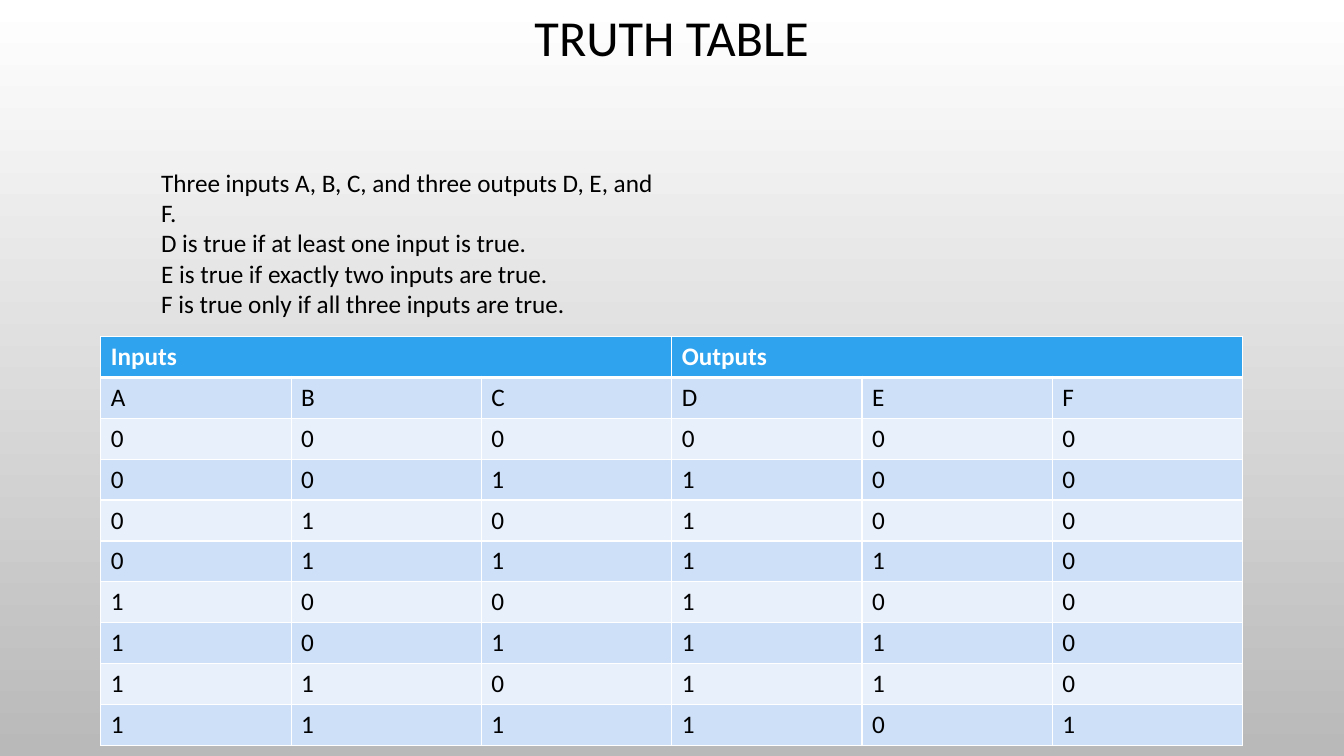
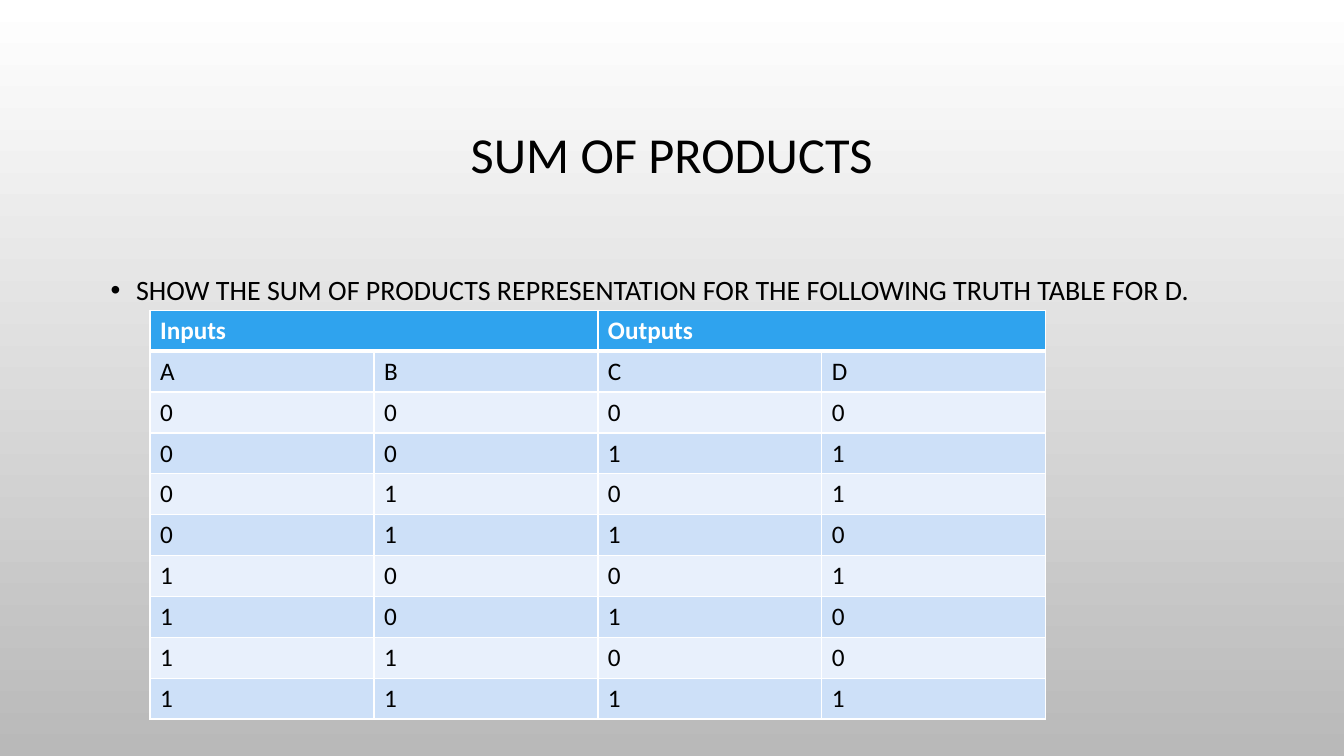
from itertools import product

from lxml import etree
from pptx import Presentation
from pptx.dml.color import RGBColor
from pptx.enum.text import MSO_ANCHOR, PP_ALIGN
from pptx.oxml.ns import qn
from pptx.util import Cm, Pt

CENTER = PP_ALIGN.CENTER
LEFT = PP_ALIGN.LEFT
MIDDLE = MSO_ANCHOR.MIDDLE
TOP = MSO_ANCHOR.TOP

COLORS = {
    "text": "000000",
    "header": "2FA3EE",
    "header_text": "FFFFFF",
    "border": "FFFFFF",
    "band_dark": "CDE0F8",
    "band_light": "E8F0FC",
    "sky": "FFFFFF",
    "ground": "B9B9B9",
}
FONT = "Calibri"
MARGIN = 2.54
CONTENT_WIDTH = 28.78
ROW_HEIGHT = 1.03


def rgb(name):
    return RGBColor.from_string(COLORS[name])


class Deck:
    def __init__(self):
        self.prs = Presentation()
        self.prs.slide_width = Cm(33.87)
        self.prs.slide_height = Cm(19.05)
        self.slide = None
        backdrop = self.prs.slide_master.background.fill
        backdrop.gradient()
        backdrop.gradient_angle = 270
        for stop, name, position in zip(backdrop.gradient_stops, ("sky", "ground"), (0, 1)):
            stop.color.rgb = rgb(name)
            stop.position = position

    def new_slide(self):
        self.slide = self.prs.slides.add_slide(self.prs.slide_layouts[6])

    def style(self, paragraph, size, color="text", bold=False):
        for run in paragraph.runs:
            run.font.name = FONT
            run.font.size = Pt(size)
            run.font.bold = bold
            run.font.color.rgb = rgb(color)

    def text(self, lines, left, top, width, height, size, align=LEFT, anchor=TOP, spacing=1.0):
        frame = self.slide.shapes.add_textbox(Cm(left), Cm(top), Cm(width), Cm(height)).text_frame
        frame.word_wrap = True
        frame.vertical_anchor = anchor
        frame.text = "\n".join(lines)
        for paragraph in frame.paragraphs:
            paragraph.alignment = align
            paragraph.line_spacing = spacing
            self.style(paragraph, size)
        return frame.paragraphs

    def indent(self, paragraph, margin, first_line=0):
        properties = paragraph._p.get_or_add_pPr()
        properties.set("marL", str(Cm(margin)))
        properties.set("indent", str(Cm(first_line)))
        return properties

    def title(self, wording, top, height):
        self.text([wording], MARGIN, top, CONTENT_WIDTH, height, 36, CENTER, MIDDLE, 0.9)

    def rules(self, lines, top, width, height):
        for paragraph in self.text(lines, MARGIN, top, width, height, 18):
            self.indent(paragraph, 1.27)

    def bullet(self, wording, top, height):
        task = self.text([wording], MARGIN, top, CONTENT_WIDTH, height, 20, spacing=1.2)[0]
        task.space_before = Pt(10)
        properties = self.indent(task, 0.64, -0.64)
        etree.SubElement(properties, qn("a:buFont"), typeface="Arial")
        etree.SubElement(properties, qn("a:buChar"), char="•")

    def borders(self, cell, top, bottom):
        properties = cell._tc.get_or_add_tcPr()
        for side, weight in (("L", 1), ("R", 1), ("T", top), ("B", bottom)):
            line = etree.SubElement(properties, qn(f"a:ln{side}"), w=str(Pt(weight)))
            fill = etree.SubElement(line, qn("a:solidFill"))
            etree.SubElement(fill, qn("a:srgbClr"), val=COLORS["border"])

    def truth_table(self, names, rows, left, top, width):
        half = len(names) // 2
        gap = [""] * (half - 1)
        grid = [["Inputs", *gap, "Outputs", *gap], names, *rows]
        table = self.slide.shapes.add_table(
            len(grid), len(names), Cm(left), Cm(top), Cm(width), Cm(ROW_HEIGHT * len(grid))
        ).table
        table.horz_banding = False
        for column in table.columns:
            column.width = Cm(width / len(names))
        for r, values in enumerate(grid):
            table.rows[r].height = Cm(ROW_HEIGHT)
            header = r == 0
            band = "header" if header else "band_dark" if r % 2 else "band_light"
            for c, value in enumerate(values):
                cell = table.cell(r, c)
                cell.text = str(value)
                self.borders(cell, 3 if r == 1 else 1, 3 if header else 1)
                cell.fill.solid()
                cell.fill.fore_color.rgb = rgb(band)
                self.style(cell.text_frame.paragraphs[0], 18,
                           "header_text" if header else "text", header)
        for start in (0, half):
            table.cell(0, start).merge(table.cell(0, start + half - 1))


def main():
    deck = Deck()
    combinations = list(product((0, 1), repeat=3))

    deck.new_slide()
    deck.title("TRUTH TABLE", 0, 2.03)
    outputs = [
        (*bits, int(any(bits)), int(sum(bits) == 2), int(all(bits))) for bits in combinations
    ]
    deck.truth_table("ABCDEF", outputs, MARGIN, 8.48, CONTENT_WIDTH)
    deck.rules(
        [
            "Three inputs A, B, C, and three outputs D, E, and F.",
            "D is true if at least one input is true.",
            "E is true if exactly two inputs are true.",
            "F is true only if all three inputs are true.",
        ],
        4.09, 14.45, 4.11,
    )

    deck.new_slide()
    deck.title("SUM OF PRODUCTS", 1.73, 4.45)
    deck.bullet(
        "SHOW THE SUM OF PRODUCTS REPRESENTATION FOR THE FOLLOWING TRUTH TABLE FOR D.",
        6.58, 9.5,
    )
    odd_parity = [(*bits, sum(bits) % 2) for bits in combinations]
    deck.truth_table("ABCD", odd_parity, 3.78, 7.82, 22.58)

    deck.prs.save("out.pptx")


if __name__ == "__main__":
    main()
